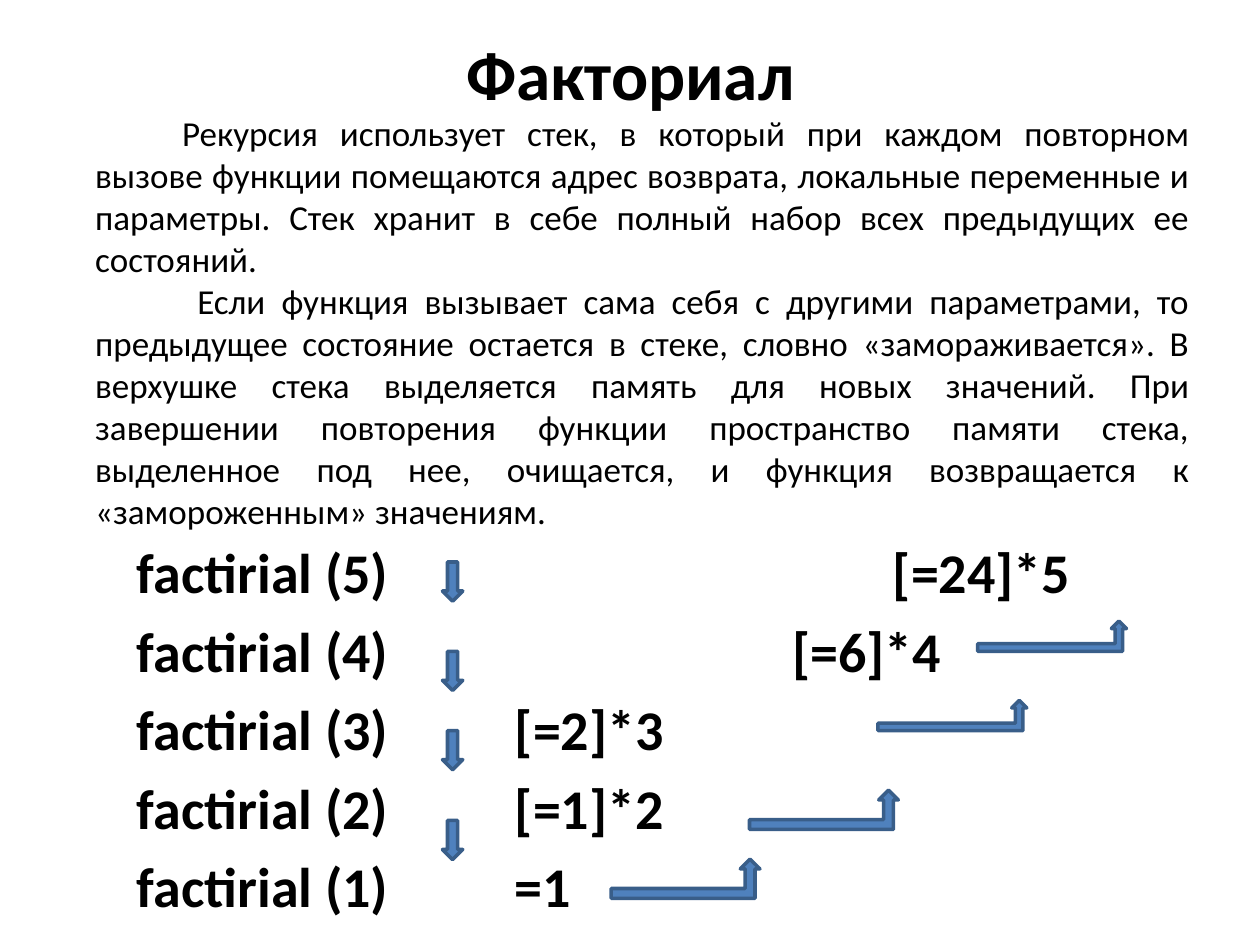
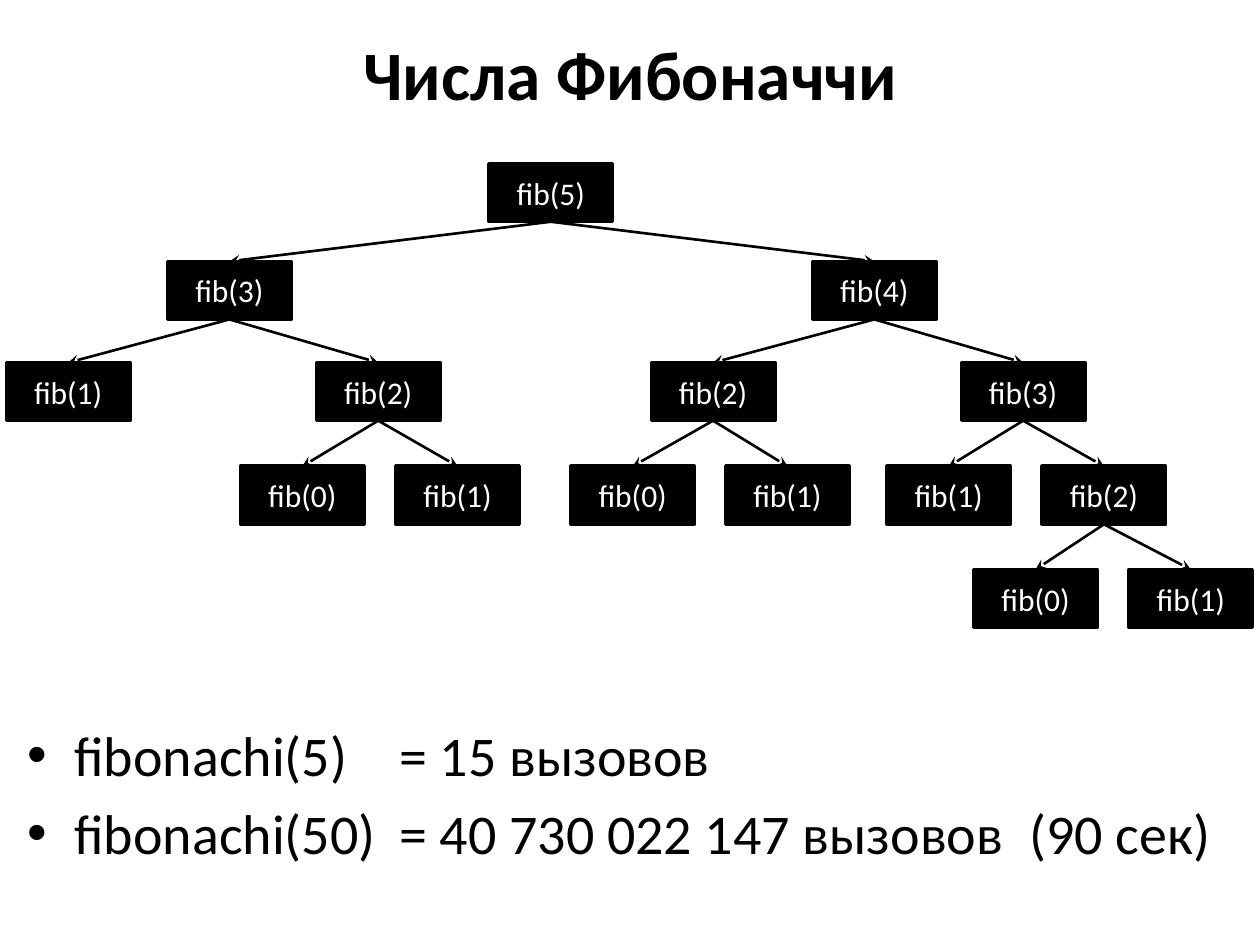
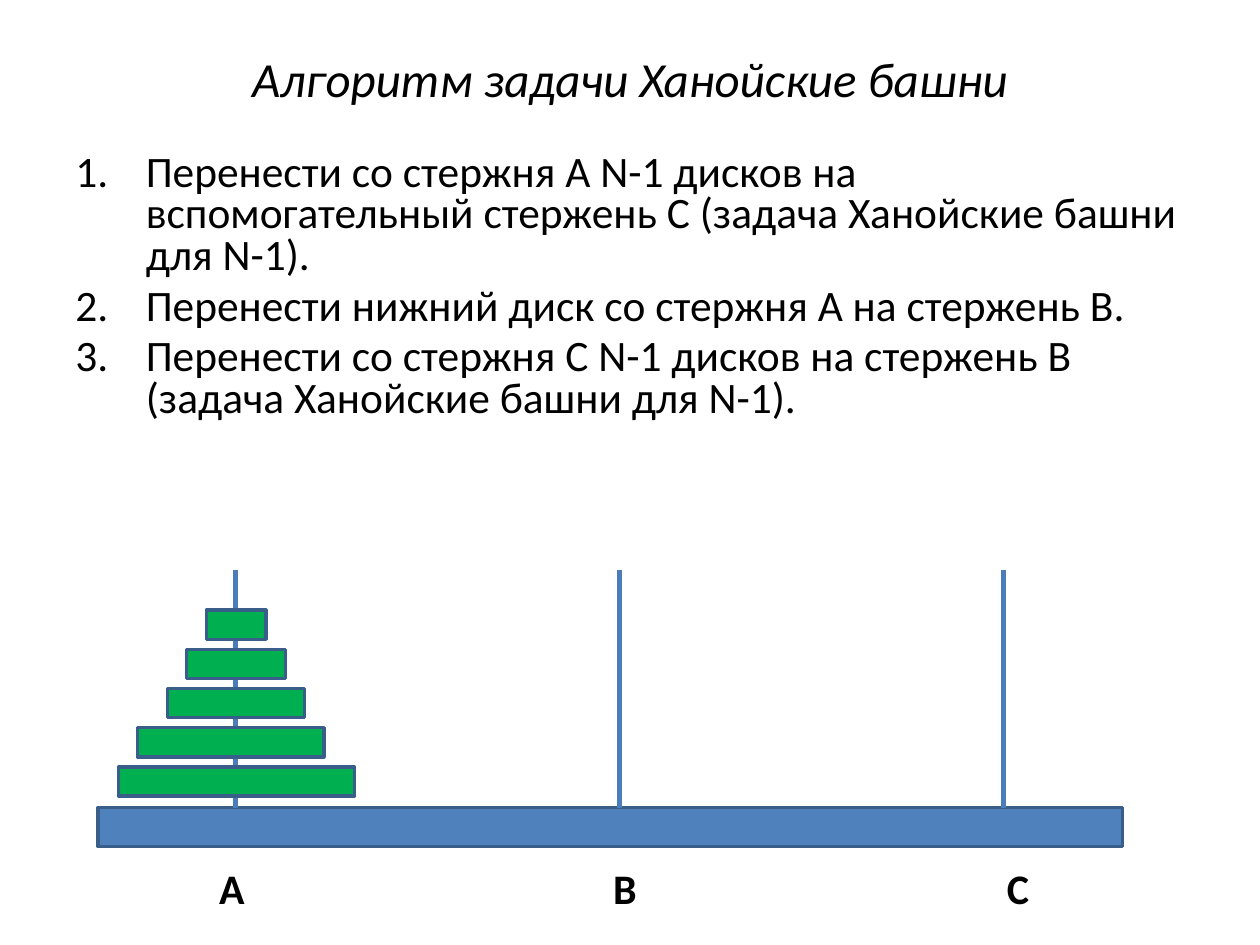
import pptx
import pptx.dml.color
import pptx.enum.shapes
import pptx.enum.text
import pptx.oxml
import pptx.oxml.ns
import pptx.util

Cm = pptx.util.Cm
Pt = pptx.util.Pt
RGBColor = pptx.dml.color.RGBColor
SHAPE = pptx.enum.shapes.MSO_SHAPE
ALIGN = pptx.enum.text.PP_ALIGN
ANCHOR = pptx.enum.text.MSO_ANCHOR

BLACK = RGBColor(0x00, 0x00, 0x00)
WHITE = RGBColor(0xFF, 0xFF, 0xFF)
BLUE = RGBColor(0x4F, 0x81, 0xBD)
DARK_BLUE = RGBColor(0x39, 0x5E, 0x89)
ROD_BLUE = RGBColor(0x4A, 0x7D, 0xBA)
GREEN = RGBColor(0x00, 0xB0, 0x50)
FONT = "Calibri"
TITLE_BOX = (0.71, 0.58, 24, 1.78)


# Shared helpers; every box is (left, top, width, height) in centimetres
def lengths(box):
    return [Cm(value) for value in box]


def add_xml(parent, tag, **attributes):
    element = pptx.oxml.parse_xml(f"<a:{tag} {pptx.oxml.ns.nsdecls('a')}/>")
    for name, value in attributes.items():
        element.set(name, str(value))
    parent.append(element)
    return element


def write_text(shape, lines, size=18, color=BLACK, bold=False, italic=False,
               align=ALIGN.LEFT, anchor=ANCHOR.TOP, space_before=0, line_spacing=None,
               margin=0, indents=(0,), bullet=None, tabs=()):
    """Write one paragraph per line; indents holds one entry per line or one for all."""
    frame = shape.text_frame
    frame.word_wrap = True
    frame.auto_size = pptx.enum.text.MSO_AUTO_SIZE.NONE
    frame.vertical_anchor = anchor
    for index, line in enumerate(lines):
        paragraph = frame.paragraphs[0] if index == 0 else frame.add_paragraph()
        paragraph.alignment = align
        paragraph.space_before = Pt(space_before if index else 0)
        if line_spacing:
            paragraph.line_spacing = line_spacing
        properties = paragraph._p.get_or_add_pPr()
        properties.set("marL", str(Cm(margin)))
        properties.set("indent", str(Cm(indents[index % len(indents)])))
        if bullet == "number":
            add_xml(properties, "buAutoNum", type="arabicPeriod")
        elif bullet:
            add_xml(properties, "buFont", typeface="Arial")
            add_xml(properties, "buChar", char=bullet)
        else:
            add_xml(properties, "buNone")
        if tabs:
            tab_list = add_xml(properties, "tabLst")
            for position in tabs:
                add_xml(tab_list, "tab", pos=Cm(position), algn="l")
        run = paragraph.add_run()
        run.text = line
        run.font.name = FONT
        run.font.size = Pt(size)
        run.font.bold = bold
        run.font.italic = italic
        run.font.color.rgb = color


def add_text(slide, box, lines, **text_format):
    write_text(slide.shapes.add_textbox(*lengths(box)), lines, **text_format)


def add_block(slide, kind, box, fill=BLUE, line=DARK_BLUE):
    shape = slide.shapes.add_shape(kind, *lengths(box))
    shape.shadow.inherit = False
    shape.fill.solid()
    shape.fill.fore_color.rgb = fill
    shape.line.color.rgb = line
    shape.line.width = Pt(2)
    return shape


def add_line(slide, ends, color, width, arrow=False):
    connector = slide.shapes.add_connector(
        pptx.enum.shapes.MSO_CONNECTOR.STRAIGHT, *lengths(ends))
    connector.line.color.rgb = color
    connector.line.width = Pt(width)
    if arrow:
        add_xml(connector.line._get_or_add_ln(), "tailEnd", type="stealth")
    add_xml(connector._element.spPr, "effectLst")
    return connector


def add_titled_slide(presentation, title, box=TITLE_BOX, size=39.6, bold=True, italic=False):
    slide = presentation.slides.add_slide(presentation.slide_layouts[5])
    placeholder = slide.shapes.title
    placeholder.left, placeholder.top, placeholder.width, placeholder.height = lengths(box)
    write_text(placeholder, [title], size=size, bold=bold, italic=italic,
               align=ALIGN.CENTER, anchor=ANCHOR.MIDDLE)
    return slide


# Factorial: call stack going down, results coming back up
CALLS = [  # call, result, indent of the result
    ("factirial (5)", "[=24]*5", 7.62),
    ("factirial (4)", "[=6]*4", 5.59),
    ("factirial (3)", "[=2]*3", 0),
    ("factirial (2)", "[=1]*2", 0),
    ("factirial (1)", "=1", 0),
]
CALL_WIDTH = 7.62
CALL_ARROW_TOPS = [0.61, 2.41, 4.01, 5.82]
RETURN_ARROWS = [(9.81, 6.6, 0.79), (12.6, 5.21, 0.79), (15.19, 3.4, 0.61), (17.2, 1.8, 0.61)]


def draw_call_stack(slide, box):
    left, top, width, height = box
    calls, results, indents = zip(*CALLS)
    row_format = {"size": 32, "bold": True, "space_before": 6.4}
    add_text(slide, (left, top, CALL_WIDTH, height), calls, **row_format)
    add_text(slide, (left + CALL_WIDTH, top, width - CALL_WIDTH, height), results,
             indents=indents, **row_format)
    for arrow_top in CALL_ARROW_TOPS:
        add_block(slide, SHAPE.DOWN_ARROW, (left + 6.41, top + arrow_top, 0.41, 0.79))
    for arrow_left, arrow_top, arrow_height in RETURN_ARROWS:
        add_block(slide, SHAPE.BENT_UP_ARROW,
                  (left + arrow_left, top + arrow_top, 3, arrow_height))


def build_factorial(presentation):
    slide = add_titled_slide(presentation, "Факториал")
    add_text(slide, (1.42, 2.12, 22.81, 8.81), [
        "Рекурсия использует стек, в который при каждом повторном вызове функции "
        "помещаются адрес возврата, локальные переменные и параметры. Стек хранит в себе "
        "полный набор всех предыдущих ее состояний.",
        "Если функция вызывает сама себя с другими параметрами, то предыдущее состояние "
        "остается в стеке, словно «замораживается». В верхушке стека выделяется память для "
        "новых значений. При завершении повторения функции пространство памяти стека, "
        "выделенное под нее, очищается, и функция возвращается к «замороженным» значениям.",
    ], size=20, align=ALIGN.JUSTIFY, margin=0.25, indents=(1.75, 2.06))
    draw_call_stack(slide, (2.51, 10.72, 21.72, 8.81))


# Fibonacci: tree of calls, each node is (argument, left, children)
CALL_TREE = (5, 9.73, [
    (3, 3.25, [
        (1, 0, []),
        (2, 6.25, [(0, 4.72, []), (1, 7.85, [])]),
    ]),
    (4, 16.25, [
        (2, 13, [(0, 11.38, []), (1, 14.5, [])]),
        (3, 19.25, [
            (1, 17.75, []),
            (2, 20.88, [(0, 19.5, []), (1, 22.63, [])]),
        ]),
    ]),
])
LEVEL_TOPS = [0, 1.97, 4.01, 6.1, 8.18]
NODE_WIDTH, NODE_HEIGHT = 2.49, 1.17


def draw_call_tree(slide, box, node, level=0):
    left, top = box[:2]
    argument, node_left, children = node
    node_box = (left + node_left, top + LEVEL_TOPS[level], NODE_WIDTH, NODE_HEIGHT)
    parent = add_block(slide, SHAPE.RECTANGLE, node_box, BLACK, BLACK)
    write_text(parent, [f"fib({argument})"], color=WHITE,
               align=ALIGN.CENTER, anchor=ANCHOR.MIDDLE)
    for child_node in children:
        child = draw_call_tree(slide, box, child_node, level + 1)
        connector = add_line(slide, (0, 0, 1, 1), BLACK, 1.5, arrow=True)
        connector.begin_connect(parent, 2)
        connector.end_connect(child, 0)
    return parent


def build_fibonacci(presentation):
    slide = add_titled_slide(presentation, "Числа Фибоначчи")
    draw_call_tree(slide, (0.13, 3.3, 25.12, 9.35), CALL_TREE)
    add_text(slide, (0.3, 14.4, 24.77, 3.86), [
        "fibonachi(5)\t= 15 вызовов",
        "fibonachi(50)\t= 40 730 022 147 вызовов\t(90 сек)",
    ], size=32, space_before=6.4, margin=0.95, indents=(-0.95,), bullet="•",
        tabs=(7.5, 20.2))


# Tower of Hanoi: base, three rods, discs on the first rod
ROD_NAMES = "ABC"
DISCS = [(2.18, 1.2), (1.78, 2), (1.4, 2.76), (0.79, 3.76), (0.41, 4.76)]  # left, width


def draw_towers(slide, box):
    left, top, width, height = box
    base_height = 0.79
    base_top = top + height - base_height
    add_block(slide, SHAPE.RECTANGLE, (left, base_top, width, base_height))
    for index, name in enumerate(ROD_NAMES):
        rod = left + 2.77 + 7.74 * index
        add_line(slide, (rod, top, rod, base_top), ROD_BLUE, 3)
        add_text(slide, (left + 2.19 + 7.94 * index, top + height + 0.2, 1.04, 1.27),
                 [name], size=24, bold=True)
    for index, (disc_left, disc_width) in enumerate(DISCS):
        add_block(slide, SHAPE.RECTANGLE,
                  (left + disc_left, top + 0.8 + 0.79 * index, disc_width, 0.59), GREEN)


def build_hanoi(presentation):
    slide = add_titled_slide(presentation, "Алгоритм задачи Ханойские башни",
                             box=(1.27, 0.76, 22.86, 1.63), size=28, bold=False, italic=True)
    add_text(slide, (1.27, 2.98, 22.86, 6.35), [
        "Перенести со стержня А N-1 дисков на вспомогательный стержень С "
        "(задача Ханойские башни для N-1).",
        "Перенести нижний диск со стержня А на стержень В.",
        "Перенести со стержня С N-1 дисков на стержень В (задача Ханойские башни для N-1).",
    ], size=24.8, space_before=5, line_spacing=0.8, margin=1.42, indents=(-1.42,),
        bullet="number")
    draw_towers(slide, (1.98, 11.5, 20.65, 5.57))


def main():
    presentation = pptx.Presentation()
    presentation.slide_width, presentation.slide_height = Cm(25.4), Cm(19.05)
    build_factorial(presentation)
    build_fibonacci(presentation)
    build_hanoi(presentation)
    presentation.save("out.pptx")


if __name__ == "__main__":
    main()
